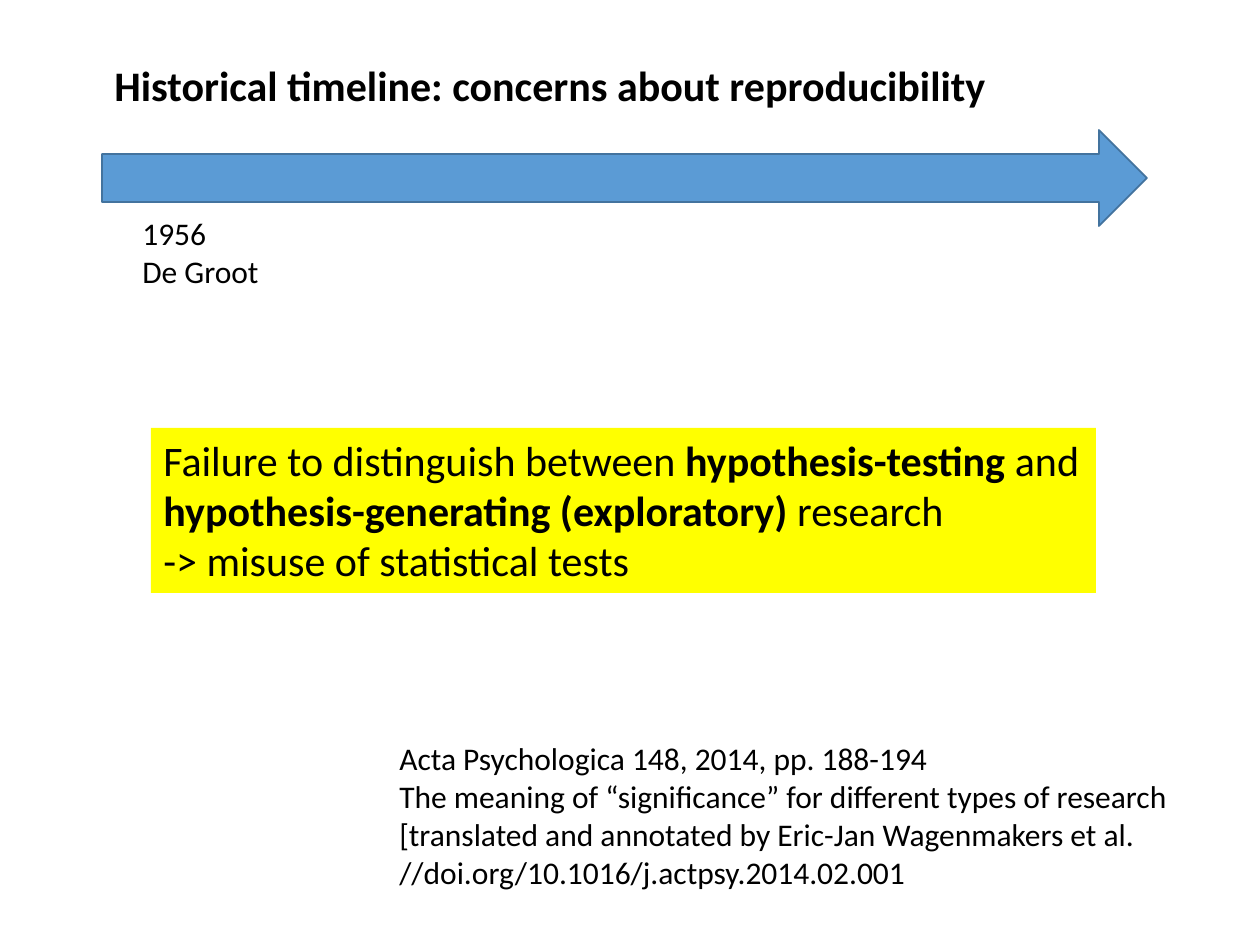
from pptx import Presentation
from pptx.dml.color import RGBColor
from pptx.enum.shapes import MSO_SHAPE
from pptx.enum.text import MSO_AUTO_SIZE
from pptx.util import Emu, Pt

RIGHT_ARROW = MSO_SHAPE.RIGHT_ARROW
FIT_SHAPE = MSO_AUTO_SIZE.SHAPE_TO_FIT_TEXT
PX = 914400 / 126
FONT = "Calibri"
COLORS = {
    "text": "000000",
    "arrow": "5B9BD5",
    "arrow_line": "43739E",
    "highlight": "FFFF00",
}

TITLE = [["Historical timeline: concerns about reproducibility"]]
EVENT = [["1956"], ["De Groot"]]
FINDING = [
    [
        "Failure to distinguish between ",
        ("hypothesis-testing", True),
        " and ",
        ("hypothesis-generating (exploratory) ", True),
        "research",
    ],
    ["-> misuse of statistical tests"],
]
CITATION = [
    ["Acta Psychologica 148, 2014, pp. 188-194"],
    [
        "The meaning of “significance” for different types of research "
        "[translated and annotated by Eric-Jan Wagenmakers et al. "
        "//doi.org/10.1016/j.actpsy.2014.02.001"
    ],
]


def px(*lengths):
    return [Emu(round(length * PX)) for length in lengths]


def color(name):
    return RGBColor.from_string(COLORS[name])


def add_arrow(slide, box):
    arrow = slide.shapes.add_shape(RIGHT_ARROW, *px(*box))
    arrow.shadow.inherit = False
    arrow.fill.solid()
    arrow.fill.fore_color.rgb = color("arrow")
    arrow.line.color.rgb = color("arrow_line")
    arrow.line.width = Pt(1)


def add_text(slide, box, paragraphs, size, bold=False, fill=None, wrap=True):
    shape = slide.shapes.add_textbox(*px(*box))
    if fill:
        shape.fill.solid()
        shape.fill.fore_color.rgb = color(fill)
    frame = shape.text_frame
    frame.word_wrap = wrap
    frame.auto_size = FIT_SHAPE
    for index, pieces in enumerate(paragraphs):
        paragraph = frame.add_paragraph() if index else frame.paragraphs[0]
        paragraph.font.name = FONT
        paragraph.font.size = Pt(size)
        paragraph.font.bold = bold
        paragraph.font.color.rgb = color("text")
        for piece in pieces:
            text, strong = (piece, False) if isinstance(piece, str) else piece
            run = paragraph.add_run()
            run.text = text
            if strong:
                run.font.bold = True


def main():
    """Build the timeline slide and save it."""
    presentation = Presentation()
    presentation.slide_width, presentation.slide_height = px(1260, 945)
    slide = presentation.slides.add_slide(presentation.slide_layouts[6])
    add_arrow(slide, (102, 130, 1045, 96))
    add_text(slide, (130, 208, 199, 89), EVENT, 18)
    add_text(slide, (151, 428, 945, 165), FINDING, 24, fill="highlight")
    add_text(slide, (102, 53, 906, 63), TITLE, 24, bold=True, wrap=False)
    add_text(slide, (387, 733, 832, 165), CITATION, 18)
    presentation.save("out.pptx")


if __name__ == "__main__":
    main()
